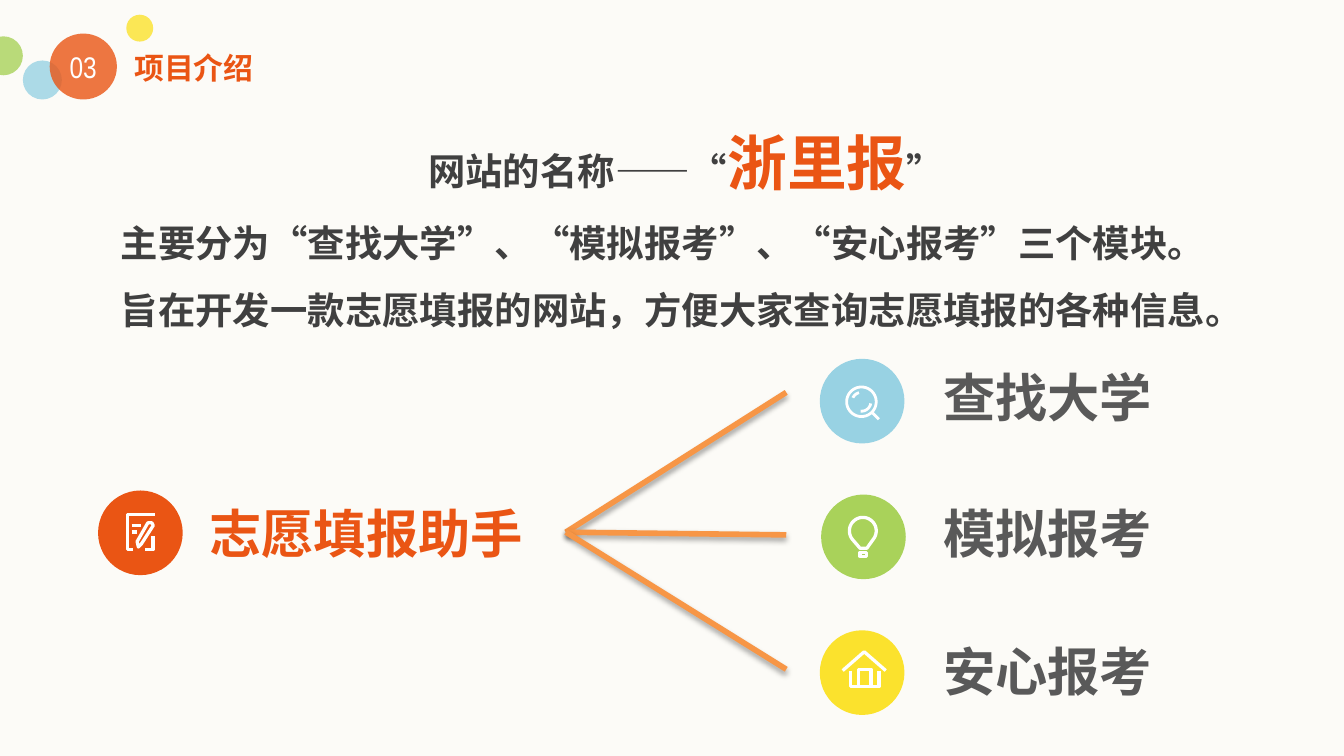
from math import cos, radians, sin

from lxml.etree import SubElement
from pptx import Presentation
from pptx.dml.color import RGBColor
from pptx.enum.lang import MSO_LANGUAGE_ID as Language
from pptx.enum.shapes import MSO_CONNECTOR as Connector, MSO_SHAPE as Shape
from pptx.enum.text import MSO_AUTO_SIZE as AutoSize, PP_ALIGN as Align
from pptx.oxml.ns import qn
from pptx.util import Inches, Pt

COLORS = {
    "paper": "FCFBF7", "orange": "EA5514", "yellow": "FBE22D",
    "green": "A9D25A", "blue": "98D2E3", "white": "FFFFFF",
    "dark": "404040", "gray": "595959", "branch": "F79646", "black": "000000",
}
CJK = "Noto Sans CJK SC"


def rgb(name):
    """Return a palette colour."""
    return RGBColor.from_string(COLORS[name])


def add_disc(slide, left, top, width, height, color, alpha=None):
    """Add a borderless ellipse, optionally see-through (alpha in percent)."""
    disc = slide.shapes.add_shape(
        Shape.OVAL, Inches(left), Inches(top), Inches(width), Inches(height))
    disc.shadow.inherit = False
    disc.fill.solid()
    disc.fill.fore_color.rgb = rgb(color)
    disc.line.fill.background()
    if alpha:
        tint = disc._element.spPr.find(".//" + qn("a:srgbClr"))
        SubElement(tint, qn("a:alpha"), val=str(alpha * 1000))


def add_text(slide, left, top, width, height, paragraphs, font=CJK, bold=True,
             inset=True, align=None, spacing=None):
    """Add a text box of (text, size, color) spans; align sets the first line."""
    box = slide.shapes.add_textbox(
        Inches(left), Inches(top), Inches(width), Inches(height))
    frame = box.text_frame
    frame.word_wrap = True
    frame.auto_size = AutoSize.SHAPE_TO_FIT_TEXT
    if not inset:
        frame.margin_left = frame.margin_right = 0
        frame.margin_top = frame.margin_bottom = 0
    for index, spans in enumerate(paragraphs):
        para = frame.add_paragraph() if index else frame.paragraphs[0]
        para.line_spacing = spacing
        if index == 0:
            para.alignment = align
        for text, size, color in spans:
            span = para.add_run()
            span.text = text
            span.font.size = Pt(size)
            span.font.bold = bold
            span.font.name = font
            span.font.color.rgb = rgb(color)
            span.font.language_id = Language.SIMPLIFIED_CHINESE
            SubElement(span.font._element, qn("a:ea"), typeface=font)


def add_branch(slide, start, end):
    """Add a thick connector with a soft shadow below it."""
    branch = slide.shapes.add_connector(
        Connector.STRAIGHT, *(Inches(value) for value in start + end))
    branch.line.color.rgb = rgb("branch")
    branch.line.width = Pt(3)
    effects = SubElement(branch._element.spPr, qn("a:effectLst"))
    shadow = SubElement(effects, qn("a:outerShdw"), blurRad=str(Pt(3.1)),
                        dist=str(Pt(1.8)), dir="5400000", rotWithShape="0")
    tint = SubElement(shadow, qn("a:srgbClr"), val=COLORS["black"])
    SubElement(tint, qn("a:alpha"), val="35000")


def add_strokes(slide, *strokes, width=1.75):
    """Draw white strokes as one outline; each is (points, closed)."""
    builder = None
    for points, closed in strokes:
        first, *rest = [(Inches(x), Inches(y)) for x, y in points]
        if builder is None:
            builder = slide.shapes.build_freeform(*first)
        else:
            builder.move_to(*first)
        builder.add_line_segments(rest, close=closed)
    icon = builder.convert_to_shape()
    icon.shadow.inherit = False
    icon.fill.background()
    icon.line.color.rgb = rgb("white")
    icon.line.width = Pt(width)


def arc(center_x, center_y, radius, start, end, steps=16):
    """Return points on a clockwise arc, angles in degrees."""
    angles = [radians(start + (end - start) * step / steps)
              for step in range(steps + 1)]
    return [(center_x + radius * cos(angle), center_y + radius * sin(angle))
            for angle in angles]


def add_notepad(slide):
    """Draw a notepad with a pencil."""
    corner = [(0.99, 4.09), (0.95, 4.09), (0.95, 3.83), (1.15, 3.83)]
    fold = [(1.14, 3.99), (1.14, 4.09), (1.08, 4.09)]
    pencil = [(1.1, 3.89), (1.13, 3.89), (1.14, 3.91), (1.05, 4.05),
              (1.03, 4.07), (1.02, 4.03)]
    long_line = [(0.98, 3.91), (1.05, 3.91)]
    short_line = [(0.98, 3.96), (1.02, 3.96)]
    for points in (corner, fold, pencil, long_line, short_line):
        add_strokes(slide, (points, points is pencil))


def add_magnifier(slide):
    """Draw a magnifier with two glints."""
    x, y = 6.41, 2.99
    add_strokes(slide, (arc(x, y, 0.11, 0, 360, 40), True),
                ([(6.49, 3.07), (6.54, 3.12)], False),
                (arc(x, y, 0.07, 10, 95), False),
                (arc(x, y, 0.07, 205, 255), False), width=1.5)


def add_bulb(slide):
    """Draw a light bulb."""
    glass = arc(6.42, 3.95, 0.1, 140, 400, 30) + [(6.45, 4.08), (6.4, 4.08)]
    socket = [(6.4, 4.11), (6.45, 4.11), (6.45, 4.14), (6.4, 4.14)]
    add_strokes(slide, (glass, True), (socket, True))


def add_house(slide):
    """Draw a house."""
    roof = [(6.27, 4.99), (6.43, 4.85), (6.59, 4.99)]
    walls = [(6.33, 4.99), (6.33, 5.11), (6.54, 5.11), (6.54, 4.99)]
    door = [(6.39, 5.11), (6.39, 4.98), (6.48, 4.98), (6.48, 5.11)]
    add_strokes(slide, (roof, False), (walls, False), (door, False))


def add_header(slide):
    """Add the section number, its bubbles and the title."""
    for bubble in ((0.94, 0.11, 0.2, 0.2, "yellow"),
                   (-0.12, 0.27, 0.29, 0.29, "green"),
                   (0.17, 0.45, 0.29, 0.29, "blue"),
                   (0.37, 0.25, 0.5, 0.49, "orange")):
        add_disc(slide, *bubble, alpha=80)
    add_text(slide, 0.44, 0.36, 0.36, 0.27, [[("03", 16, "white")]],
             font="Arial Narrow", bold=False, inset=False, align=Align.CENTER)
    add_text(slide, 1, 0.37, 1.08, 0.27, [[("项目介绍", 16, "orange")]],
             inset=False)


def add_summary(slide):
    """Add the site name and its description."""
    add_text(slide, 0.8, 0.62, 8.61, 1.86, [
        [("网站的名称——“", 20, "dark"), ("浙里报", 32, "orange"),
         ("”", 20, "dark")],
        [("主要分为“查找大学”、“模拟报考”、“安心报考”三个模块。", 20, "dark")],
        [("旨在开发一款志愿填报的网站，方便大家查询志愿填报的各种信息。",
          20, "dark")],
    ], align=Align.CENTER, spacing=1.5)


def add_module_tree(slide):
    """Add the assistant and the three modules that branch from it."""
    size = 0.63
    add_text(slide, 1.46, 3.68, 2.75, 0.57, [[("志愿填报助手", 28, "orange")]])
    add_disc(slide, 0.73, 3.65, size, size, "orange")
    add_notepad(slide)
    modules = (
        ("查找大学", "blue", 2.67, 6.1, 2.67, 2.92, add_magnifier),
        ("模拟报考", "green", 3.68, 6.11, 3.68, 3.98, add_bulb),
        ("安心报考", "yellow", 4.71, 6.1, 4.69, 4.98, add_house),
    )
    for label, color, text_top, left, top, branch_y, add_icon in modules:
        add_text(slide, 6.92, text_top, 2.04, 0.57, [[(label, 28, "gray")]])
        add_branch(slide, (4.21, 3.96), (5.85, branch_y))
        add_disc(slide, left, top, size, size, color)
        add_icon(slide)


def main():
    """Build and save the deck."""
    deck = Presentation()
    deck.slide_width = Inches(10)
    deck.slide_height = deck.slide_width * 9 // 16
    page = deck.slides.add_slide(deck.slide_layouts[6])
    page.background.fill.solid()
    page.background.fill.fore_color.rgb = rgb("paper")
    add_header(page)
    add_summary(page)
    add_module_tree(page)
    deck.save("out.pptx")


main()
